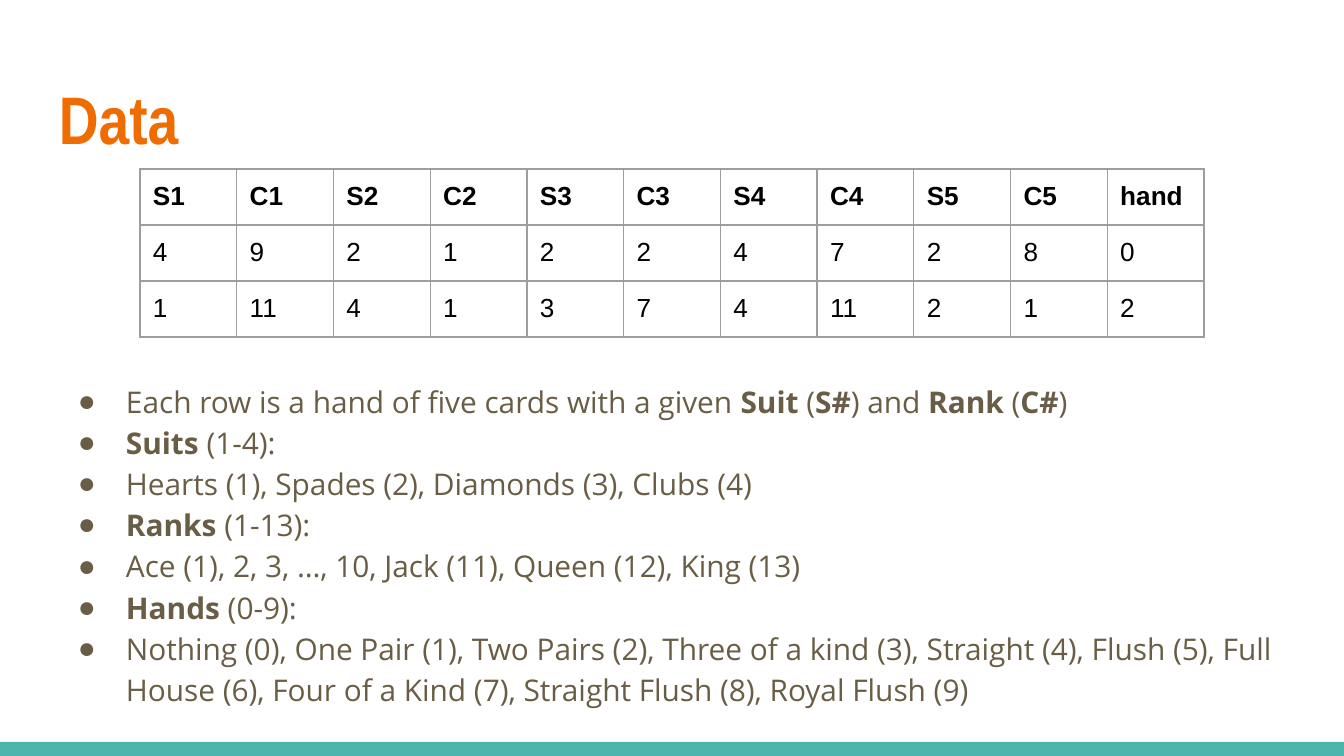
import dataclasses
import typing

import pptx
import pptx.dml.color
import pptx.enum.shapes
import pptx.enum.text
import pptx.oxml
import pptx.oxml.ns
import pptx.util

RGB = pptx.dml.color.RGBColor
ORANGE = RGB(0xEF, 0x6C, 0x00)
TEAL = RGB(0x4D, 0xB6, 0xAC)
BROWN = RGB(0x69, 0x5D, 0x46)
BLACK = RGB(0x00, 0x00, 0x00)
GREY = RGB(0x9E, 0x9E, 0x9E)
SCALE = 914400 / 134.4
INSET = 13


def px(count: float) -> int:
    return round(count * SCALE)


class Area(typing.NamedTuple):
    left: int
    top: int
    width: int
    height: int

    def emu(self) -> list[int]:
        return [px(side) for side in self]


@dataclasses.dataclass(frozen=True)
class Style:
    font: str
    size: int
    color: RGB


class Piece(typing.NamedTuple):
    text: str
    bold: bool = False


TITLE = Style("Arial Narrow", 36, ORANGE)
CELL = Style("Arial", 14, BLACK)
BODY = Style("Open Sans", 16, BROWN)

ROWS = [
    ["S1", "C1", "S2", "C2", "S3", "C3", "S4", "C4", "S5", "C5", "hand"],
    ["4", "9", "2", "1", "2", "2", "4", "7", "2", "8", "0"],
    ["1", "11", "4", "1", "3", "7", "4", "11", "2", "1", "2"],
]

POINTS = [
    [
        Piece("Each row is a hand of five cards with a given "),
        Piece("Suit", True),
        Piece(" ("),
        Piece("S#", True),
        Piece(") and "),
        Piece("Rank", True),
        Piece(" ("),
        Piece("C#", True),
        Piece(")"),
    ],
    [Piece("Suits", True), Piece(" (1-4): ")],
    [Piece("Hearts (1), Spades (2), Diamonds (3), Clubs (4)")],
    [Piece("Ranks", True), Piece(" (1-13): ")],
    [Piece("Ace (1), 2, 3, …, 10, Jack (11), Queen (12), King (13)")],
    [Piece("Hands", True), Piece(" (0-9): ")],
    [Piece("Nothing (0), One Pair (1), Two Pairs (2), Three of a kind (3), "
           "Straight (4), Flush (5), Full House (6), Four of a Kind (7), "
           "Straight Flush (8), Royal Flush (9)")],
]


def xml(tag: str, attrs: str = "", inner: str = ""):
    space = pptx.oxml.ns.nsdecls("a")
    return pptx.oxml.parse_xml(f"<a:{tag} {space} {attrs}>{inner}</a:{tag}>")


def paint(color: RGB) -> str:
    return f'<a:srgbClr val="{color}"/>'


def write(para, pieces: list[Piece], style: Style) -> None:
    for piece in pieces:
        run = para.add_run()
        run.text = piece.text
        run.font.name = style.font
        run.font.size = pptx.util.Pt(style.size)
        run.font.color.rgb = style.color
        run.font.bold = piece.bold


def pad(item, top: int = INSET, bottom: int = INSET) -> None:
    item.margin_left = item.margin_right = px(INSET)
    item.margin_top, item.margin_bottom = px(top), px(bottom)


def frame(slide, area: Area):
    text = slide.shapes.add_textbox(*area.emu()).text_frame
    text.word_wrap = True
    pad(text)
    return text


def bullet(para) -> None:
    para.line_spacing = 1.15
    props = para._p.get_or_add_pPr()
    props.set("marL", str(px(67)))
    props.set("indent", str(px(-48)))
    props.append(xml("buClr", "", paint(BROWN)))
    props.append(xml("buFont", 'typeface="Arial"'))
    props.append(xml("buChar", 'char="●"'))


def border(cell) -> None:
    props = cell._tc.get_or_add_tcPr()
    fill = f"<a:solidFill>{paint(GREY)}</a:solidFill>"
    for place, side in enumerate(("lnL", "lnR", "lnT", "lnB")):
        props.insert(place, xml(side, f'w="{pptx.util.Pt(0.75)}"', fill))


def grid(slide, area: Area) -> None:
    count = len(ROWS[0])
    table = slide.shapes.add_table(len(ROWS), count, *area.emu()).table
    table.first_row = table.horz_banding = False
    for column in table.columns:
        column.width = px(area.width / count)
    for index, row in enumerate(ROWS):
        table.rows[index].height = px(area.height / len(ROWS))
        for place, value in enumerate(row):
            cell = table.cell(index, place)
            pad(cell, 13, 11)
            cell.fill.background()
            border(cell)
            write(cell.text_frame.paragraphs[0], [Piece(value, index == 0)], CELL)


def points(slide, area: Area) -> None:
    text = frame(slide, area)
    for index, pieces in enumerate(POINTS):
        para = text.add_paragraph() if index else text.paragraphs[0]
        bullet(para)
        write(para, pieces, BODY)


def main() -> None:
    deck = pptx.Presentation()
    deck.slide_width, deck.slide_height = px(1344), px(756)
    slide = deck.slides.add_slide(deck.slide_layouts[6])

    bar = slide.shapes.add_shape(
        pptx.enum.shapes.MSO_SHAPE.RECTANGLE, *Area(0, 742, 1344, 14).emu())
    bar.shadow.inherit = False
    bar.fill.solid()
    bar.fill.fore_color.rgb = TEAL
    bar.line.fill.background()

    title = frame(slide, Area(46, 66, 1252, 103))
    title.vertical_anchor = pptx.enum.text.MSO_ANCHOR.BOTTOM
    write(title.paragraphs[0], [Piece("Data", True)], TITLE)
    title.margin_bottom = px(11)

    grid(slide, Area(140, 169, 1064, 168))
    points(slide, Area(46, 365, 1252, 308))
    deck.save("out.pptx")


main()
